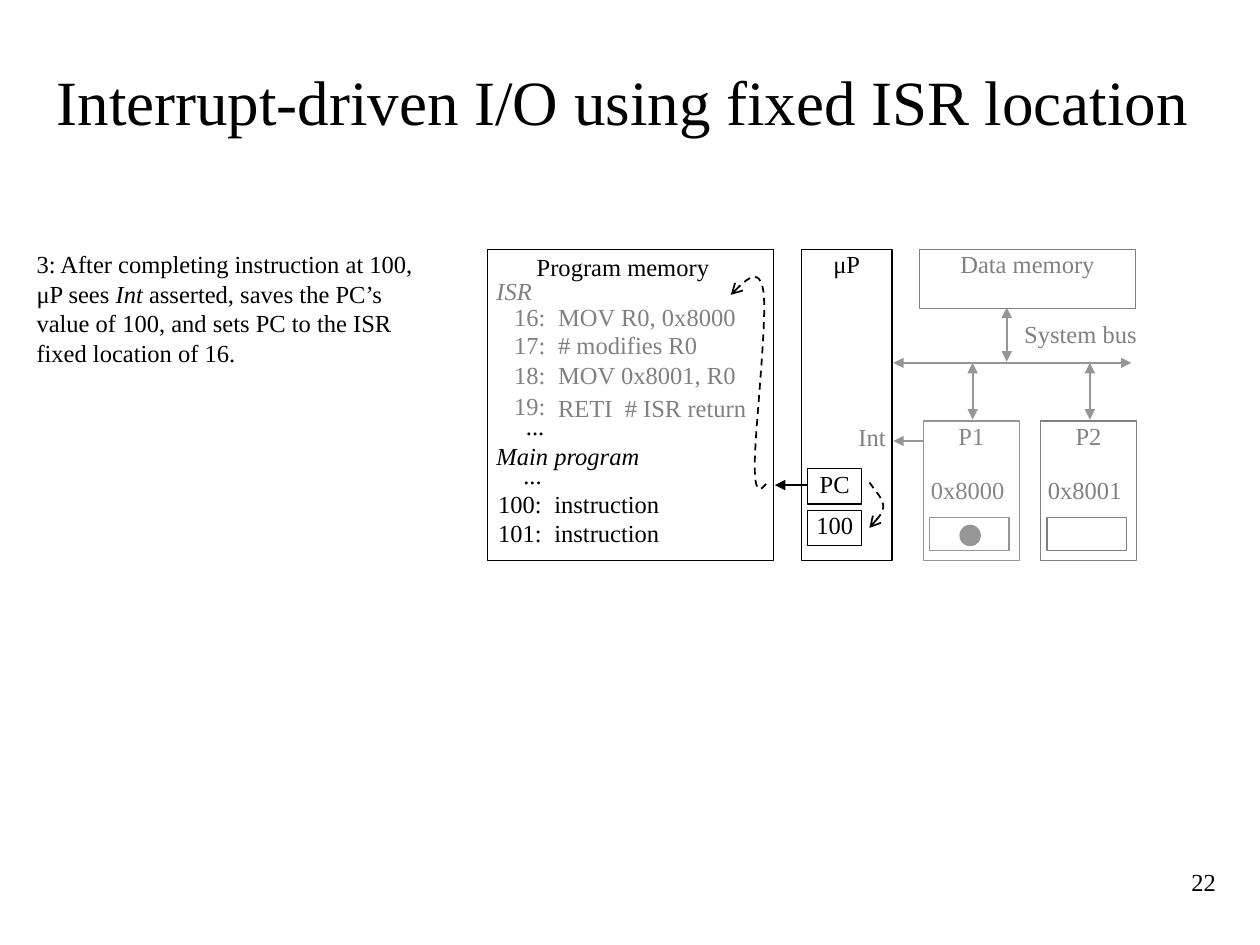
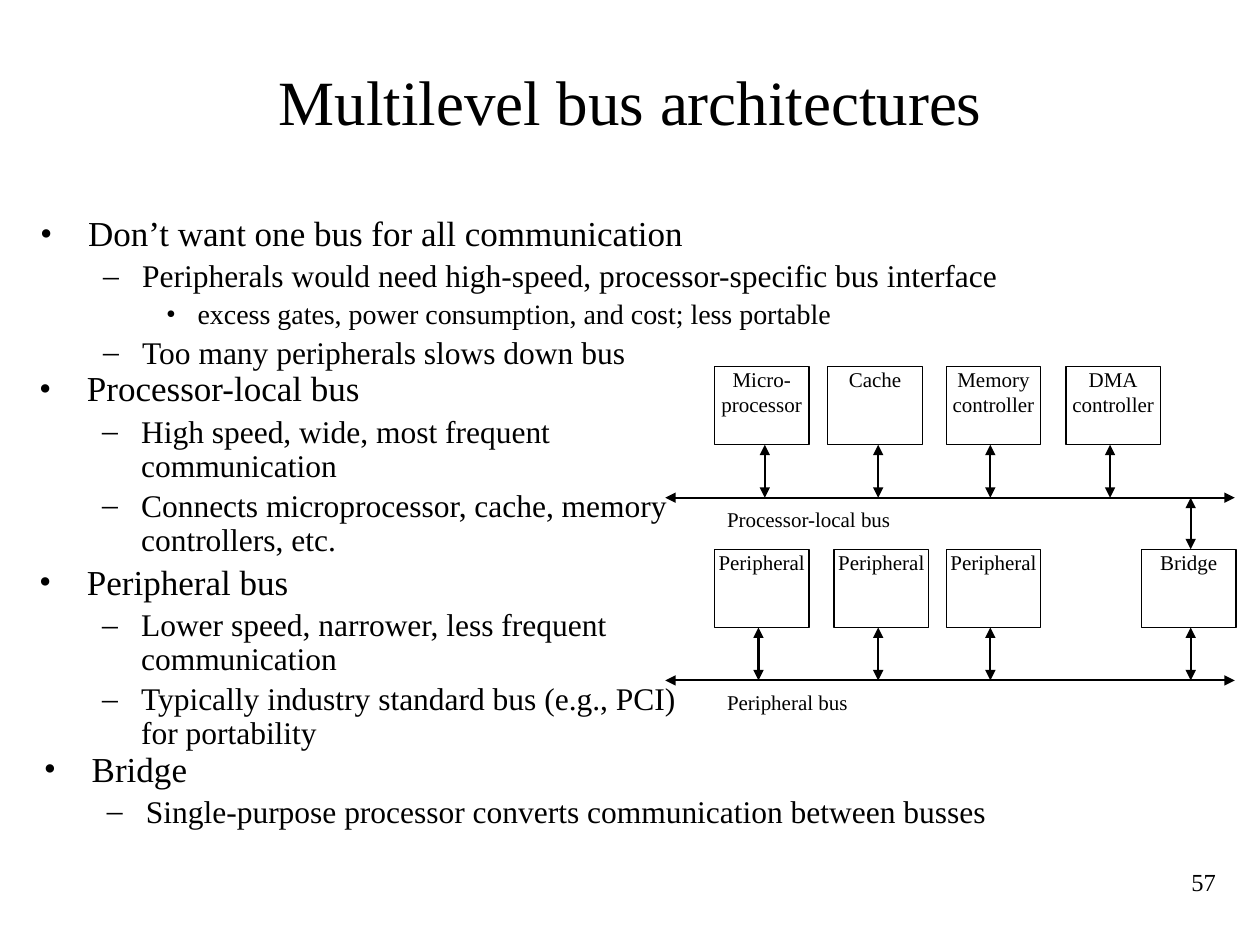
"""Build two lecture slides on interrupts and bus architectures."""
from dataclasses import dataclass

from lxml import etree
from pptx import Presentation
from pptx import util as u
from pptx.dml.color import RGBColor
from pptx.enum import dml, shapes, text
from pptx.oxml import ns

COLORS = {"ink": "000000", "paper": "FFFFFF", "line": "969696",
          "gray": "808080", "label": "868686"}
FONT = "Times New Roman"
WIDTH, HEIGHT = u.Inches(10), u.Inches(7.5)
COLUMN, ROW = WIDTH / 100, HEIGHT / 75
LEFT, CENTER, RIGHT = text.PP_ALIGN.LEFT, text.PP_ALIGN.CENTER, text.PP_ALIGN.RIGHT
LEVELS = [("•", 20, 0.38, 0.38), ("–", 18, 0.81, 0.31), ("•", 16, 1.25, 0.25)]


@dataclass
class Box:
    """A box measured in slide columns and rows."""
    left: float
    top: float
    width: float
    height: float

    def inner(self, left, top, width, height):
        """Return a box placed relative to this one."""
        return Box(self.left + left, self.top + top, width, height)

    def point(self, x, y):
        """Return a point of this box in slide lengths."""
        return round((self.left + x) * COLUMN), round((self.top + y) * ROW)

    def frame(self):
        """Return left, top, width and height in slide lengths."""
        return (*self.point(0, 0), round(self.width * COLUMN), round(self.height * ROW))


TITLE = Box(4.2, 1.7, 91.7, 12.5)
NUMBER = Box(87.5, 68.3, 10, 5)


def color(name):
    """Look up a palette colour."""
    return RGBColor.from_string(COLORS[name])


def write(paragraph, words, size=14, ink="ink", align=LEFT):
    """Write text into a paragraph, with parts between asterisks in italics."""
    paragraph.alignment = align
    for index, part in enumerate(words.split("*")):
        if part:
            run = paragraph.add_run()
            run.text = part
            run.font.name, run.font.size = FONT, u.Pt(size)
            run.font.italic = index % 2 == 1
            run.font.color.rgb = color(ink)


def prepare(text_frame, side=0.0, end=0.0, anchor=text.MSO_ANCHOR.TOP):
    """Set wrapping, insets and anchor of a text frame."""
    text_frame.word_wrap = True
    text_frame.auto_size = text.MSO_AUTO_SIZE.NONE
    text_frame.vertical_anchor = anchor
    text_frame.margin_left = text_frame.margin_right = u.Inches(side)
    text_frame.margin_top = text_frame.margin_bottom = u.Inches(end)


def add_lines(text_frame, words, **style):
    """Write one paragraph for each line of text."""
    for index, line in enumerate(words.split("\n")):
        paragraph = text_frame.add_paragraph() if index else text_frame.paragraphs[0]
        write(paragraph, line, **style)


def add_label(slide, box, words, side=0.0, end=0.0, **style):
    """Add a text box."""
    text_frame = slide.shapes.add_textbox(*box.frame()).text_frame
    prepare(text_frame, side, end)
    add_lines(text_frame, words, **style)


def add_block(slide, box, words="", line="ink", fill="paper",
              kind=shapes.MSO_SHAPE.RECTANGLE, **style):
    """Add an outlined shape with centred text."""
    shape = slide.shapes.add_shape(kind, *box.frame())
    shape.shadow.inherit = False
    shape.fill.solid()
    shape.fill.fore_color.rgb = color(fill)
    shape.line.color.rgb = color(line)
    shape.line.width = u.Pt(0.75)
    prepare(shape.text_frame)
    add_lines(shape.text_frame, words, align=CENTER, **style)


def add_heads(shape, **ends):
    """Give the ends of a line arrowheads."""
    line = shape.line._get_or_add_ln()
    for end, kind in ends.items():
        etree.SubElement(line, ns.qn(f"a:{end}"), type=kind)


def add_arrow(slide, box, start, end, ink="ink", width=1.25, double=True):
    """Add a straight arrow between two points of a box."""
    arrow = slide.shapes.add_connector(
        shapes.MSO_CONNECTOR.STRAIGHT, *box.point(*start), *box.point(*end))
    arrow.line.color.rgb = color(ink)
    arrow.line.width = u.Pt(width)
    heads = {"headEnd": "triangle"} if double else {}
    add_heads(arrow, **heads, tailEnd="triangle")
    etree.SubElement(arrow._element.spPr, ns.qn("a:effectLst"))


def add_curve(slide, box, start, *curves, steps=12):
    """Add a dashed arrow along cubic curves."""
    points, origin = [], start
    for curve in curves:
        controls = (origin, *curve)
        for step in range(1, steps + 1):
            t = step / steps
            weights = ((1 - t) ** 3, 3 * t * (1 - t) ** 2, 3 * t ** 2 * (1 - t), t ** 3)
            points.append(box.point(*(
                sum(weight * control[axis] for weight, control in zip(weights, controls))
                for axis in (0, 1))))
        origin = curve[-1]
    builder = slide.shapes.build_freeform(*box.point(*start))
    builder.add_line_segments(points, close=False)
    shape = builder.convert_to_shape()
    shape.shadow.inherit = False
    shape.fill.background()
    shape.line.color.rgb = color("ink")
    shape.line.width = u.Pt(1)
    shape.line.dash_style = dml.MSO_LINE.DASH
    add_heads(shape, tailEnd="arrow")


def move(placeholder, box):
    """Move a placeholder to a box."""
    (placeholder.left, placeholder.top,
     placeholder.width, placeholder.height) = box.frame()


def add_slide(presentation, layout, title, number):
    """Add a slide with its title and number."""
    slide = presentation.slides.add_slide(presentation.slide_layouts[layout])
    heading = slide.shapes.title
    move(heading, TITLE)
    prepare(heading.text_frame, 0, 0.05, text.MSO_ANCHOR.MIDDLE)
    add_lines(heading.text_frame, title, size=36, align=CENTER)
    add_label(slide, NUMBER, number, side=0.1, end=0.05, align=RIGHT)
    return slide


def fill_list(shape, items):
    """Fill a shape with bulleted items, given as level and text."""
    text_frame = shape.text_frame
    prepare(text_frame, 0.1, 0.05)
    for index, (level, words) in enumerate(items):
        mark, size, margin, hanging = LEVELS[level]
        paragraph = text_frame.add_paragraph() if index else text_frame.paragraphs[0]
        paragraph.level = level
        paragraph.line_spacing = 0.9
        paragraph.space_before = u.Pt(0.2 * size if index else 0)
        properties = paragraph._p.get_or_add_pPr()
        properties.set("marL", str(u.Inches(margin)))
        properties.set("indent", str(-u.Inches(hanging)))
        etree.SubElement(properties, ns.qn("a:buFont"), typeface=FONT)
        etree.SubElement(properties, ns.qn("a:buChar"), char=mark)
        write(paragraph, words, size=size)


def draw_program_memory(slide, box):
    """Draw the program listing and the jump to the ISR."""
    add_block(slide, box)
    add_label(slide, box.inner(3.9, 0.2, 15.6, 3.2), "Program memory")
    add_label(slide, box.inner(0.7, 2.1, 4.9, 3.4), "*ISR*", ink="gray")
    add_label(slide, box.inner(0.7, 15.2, 13.3, 3.3), "*Main program*")
    listing = [("16:", "MOV R0, 0x8000", 4.2, 4.2, "gray"),
               ("17:", "# modifies R0", 6.4, 6.4, "gray"),
               ("18:", "MOV 0x8001, R0", 8.8, 8.8, "gray"),
               ("19:", "RETI  # ISR return", 11.2, 11.4, "gray"),
               ("100:", "instruction", 19, 19, "ink"),
               ("101:", "instruction", 21.3, 21.3, "ink")]
    for address, code, address_top, code_top, ink in listing:
        shift = 0.3 if ink == "gray" else 0
        add_label(slide, box.inner(0.1 + shift, address_top, 4.2, 2.5), address,
                  ink=ink, align=RIGHT)
        add_label(slide, box.inner(5.3 + shift, code_top, 17.4, 2.5), code, ink=ink)
    for left, top in ((1.6, 12.8), (1.4, 16.7)):
        add_label(slide, box.inner(left, top, 2.9, 2.5), "...", align=RIGHT)
    add_curve(slide, box, (22.1, 18.6),
              ((21.7, 19.1), (21.2, 19.6), (21.2, 17.1)),
              ((21.2, 14.5), (22.2, 5.7), (21.9, 3.4)),
              ((21.6, 1.2), (20.5, 2.4), (19.3, 3.6)))


def draw_processor(slide, box):
    """Draw the processor with its program counter."""
    add_block(slide, box, "μP")
    for words, top in (("PC", 17.4), ("100", 20.7)):
        add_block(slide, box.inner(0.5, top, 4.3, 2.8), words)
    add_label(slide, box.inner(3.5, 13.7, 3.2, 3.2), "Int", ink="gray", align=RIGHT)
    add_arrow(slide, box, (0.5, 18.7), (-2.1, 18.7), double=False)
    add_curve(slide, box, (5.4, 18.5),
              ((5.9, 19.2), (6.5, 19.8), (6.5, 20.4)),
              ((6.5, 21), (5.9, 21.5), (5.4, 22.1)))


def draw_system_bus(slide, box):
    """Draw the data memory, the system bus and two peripherals."""
    add_block(slide, box.inner(2.1, 0, 17.1, 4.7), "Data memory", line="gray", ink="gray")
    add_label(slide, box.inner(9.8, 5.5, 10.1, 3.9), "System bus", ink="gray", align=CENTER)
    add_arrow(slide, box, (0, 9), (18.9, 9), ink="line")
    add_arrow(slide, box, (9, 4.6), (9, 8.9), ink="line")
    peripherals = [("P1", "0x8000", "line", "label"), ("P2", "0x8001", "gray", "gray")]
    for index, (name, address, line, ink) in enumerate(peripherals):
        part = box.inner(2.4 + 9.3 * index, 13.6, 7.6, 11.1)
        add_block(slide, part, name, line=line, ink=ink)
        add_block(slide, part.inner(0.5, 7.7, 6.3, 2.6), line=line)
        add_label(slide, part.inner(0.2, 4.3, 6.6, 2.8), address, ink=ink, align=CENTER)
        add_arrow(slide, part, (3.9, -4.6), (3.9, -0.1), ink="line")
    add_block(slide, box.inner(5.3, 21.9, 1.6, 1.6), line="line", fill="line",
              kind=shapes.MSO_SHAPE.OVAL)
    add_arrow(slide, box, (2.4, 15.2), (0, 15.2), ink="line", width=0.75, double=False)


def draw_bus_tier(slide, box, name, parts):
    """Draw a bus with the parts above it, given as name, left and arrow column."""
    add_arrow(slide, box, (0, 10.4), (box.width, 10.4))
    add_label(slide, box.inner(4.9, 11.1, 27.8, 2.3), name, size=12)
    for words, left, column in parts:
        add_block(slide, box.inner(left, 0, 7.5, 6.2), words, size=12)
        add_arrow(slide, box, (column, 6.2), (column, 10.4))


def build_interrupt_slide(presentation):
    """Build the slide on the fixed ISR location."""
    slide = add_slide(presentation, 5, "Interrupt-driven I/O using fixed ISR location ", "22")
    add_label(slide, Box(2.9, 19.8, 31.4, 11.5),
              "3: After completing instruction at 100, μP sees *Int* asserted, saves the "
              "PC’s value of 100, and sets PC to the ISR fixed location of 16.")
    draw_program_memory(slide, Box(38.7, 19.8, 22.7, 24.7))
    draw_processor(slide, Box(63.6, 19.8, 7.2, 24.7))
    draw_system_bus(slide, Box(70.9, 19.8, 19.9, 24.7))


def build_bus_slide(presentation):
    """Build the slide on multilevel buses."""
    slide = add_slide(presentation, 1, "Multilevel bus architectures", "57")
    body = slide.placeholders[1]
    move(body, Box(2.1, 29, 54, 33.2))
    fill_list(body, [
        (0, "Processor-local bus"),
        (1, "High speed, wide, most frequent communication"),
        (1, "Connects microprocessor, cache, memory controllers, etc."),
        (0, "Peripheral bus"),
        (1, "Lower speed, narrower, less frequent communication"),
        (1, "Typically industry standard bus (e.g., PCI) for portability")])
    fill_list(slide.shapes.add_textbox(*Box(2.2, 16.7, 91.2, 14.3).frame()), [
        (0, "Don’t want one bus for all communication"),
        (1, "Peripherals would need high-speed, processor-specific bus interface"),
        (2, "excess gates, power consumption, and cost; less portable"),
        (1, "Too many peripherals slows down bus")])
    fill_list(slide.shapes.add_textbox(*Box(2.5, 59.2, 92.6, 10.7).frame()), [
        (0, "Bridge"),
        (1, "Single-purpose processor converts communication between busses")])
    diagram = Box(52.8, 29.1, 45.2, 24.9)
    draw_bus_tier(slide, diagram, "Processor-local bus", [
        ("Micro-\nprocessor", 3.9, 7.9), ("Cache", 12.9, 16.9),
        ("Memory\ncontroller", 22.3, 25.8), ("DMA\ncontroller", 31.8, 35.3)])
    draw_bus_tier(slide, diagram.inner(0, 14.5, 45.2, 10.4), "Peripheral bus", [
        ("Peripheral", 3.9, 7.4), ("Peripheral", 13.4, 16.9),
        ("Peripheral", 22.3, 25.8), ("Bridge", 37.8, 41.7)])
    add_arrow(slide, diagram, (41.7, 10.4), (41.7, 14.5))


def main():
    """Build and save the presentation."""
    presentation = Presentation()
    presentation.slide_width, presentation.slide_height = WIDTH, HEIGHT
    build_interrupt_slide(presentation)
    build_bus_slide(presentation)
    presentation.save("out.pptx")


if __name__ == "__main__":
    main()
